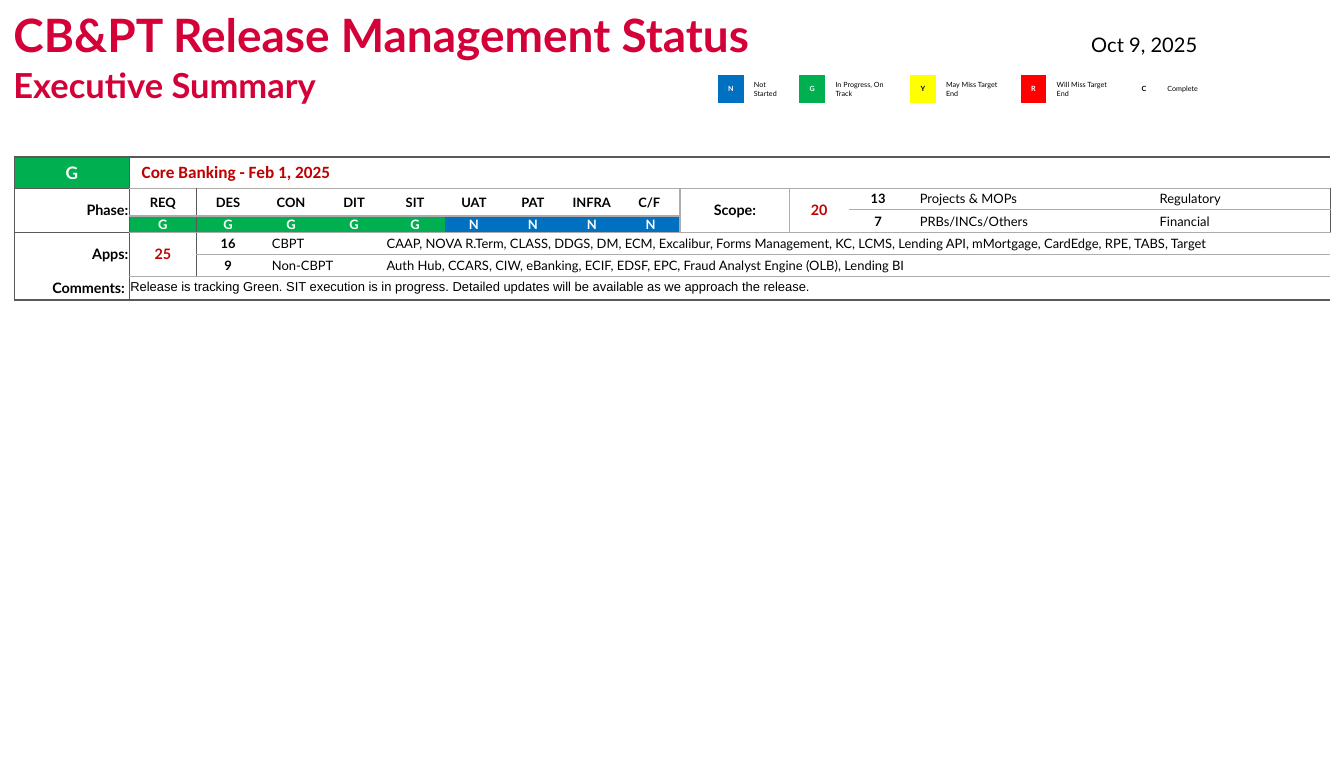
from dataclasses import dataclass

from lxml import etree
from pptx import Presentation, util as u
from pptx.dml.color import RGBColor
from pptx.enum import text
from pptx.oxml.ns import qn

NO_STYLE = "{2D5ABB26-0587-4C30-8999-92F81FD0307C}"
LEFT, CENTER, RIGHT = text.PP_ALIGN.LEFT, text.PP_ALIGN.CENTER, text.PP_ALIGN.RIGHT
TOP, MIDDLE, BOTTOM = text.MSO_ANCHOR.TOP, text.MSO_ANCHOR.MIDDLE, text.MSO_ANCHOR.BOTTOM
WIDTH, HEIGHT = 13, 7.5


@dataclass(frozen=True)
class Theme:
    font: str = "Lato"
    heading: str = "D40139"
    accent: str = "C00000"
    black: str = "000000"
    white: str = "FFFFFF"
    frame: str = "595959"
    rule: str = "AFABAB"
    blue: str = "0070C0"
    green: str = "00B050"
    yellow: str = "FFFF00"
    red: str = "FF0000"
    title: int = 32
    subtitle: int = 24
    date: int = 14
    status: int = 12
    label: int = 10
    body: int = 9
    legend: int = 5


THEME = Theme()
STATUS = {"N": THEME.blue, "G": THEME.green, "Y": THEME.yellow, "R": THEME.red}

# Cell margins are left, top, right, bottom in inches.
TIGHT, PLAIN, INDENTED = (.01, .01, .01, 0), (.01, .03, .01, .03), (.12, .03, .01, .03)
STYLES = {
    "status": dict(size=THEME.status, color=THEME.white, bold=True, margins=TIGHT),
    "release": dict(size=THEME.status, color=THEME.accent, bold=True, align=LEFT,
                    font="Calibri", margins=(.12, .05, .01, .05)),
    "row label": dict(size=THEME.label, bold=True, align=RIGHT),
    "label": dict(size=THEME.label, bold=True),
    "total": dict(size=THEME.label, bold=True, color=THEME.accent),
    "strong": dict(bold=True),
    "phase status": dict(color=THEME.white, bold=True, margins=TIGHT),
    "item": dict(align=LEFT, margins=INDENTED),
    "list": dict(align=LEFT),
    "comment": dict(align=LEFT, font="Arial", anchor=TOP),
}

LEGEND_COLUMNS = [.25, .54] + [.25, .82] * 3 + [.25, .53, .38]
LEGEND = [("N", "Not Started"), ("G", "In Progress, On Track"), ("Y", "May Miss Target End"),
          ("R", "Will Miss Target End"), ("C", "Complete")]

RELEASE_COLUMNS = [1.11, .65] + [.61] * 3 + [.57] * 5 + [1.06, .57, .57, 1.75, .57, 1.77]
RELEASE_ROWS = [.29, .21, .06, .15, .21, .21, .23]
PHASES = [("REQ", "G"), ("DES", "G"), ("CON", "G"), ("DIT", "G"), ("SIT", "G"),
          ("UAT", "N"), ("PAT", "N"), ("INFRA", "N"), ("C/F ", "N")]
# Each entry: row, column, rows spanned, columns spanned, text, style.
RELEASE_CELLS = [
    (0, 0, 1, 1, "G", "status"),
    (0, 1, 1, 15, "Core Banking - Feb 1, 2025", "release"),
    (1, 0, 3, 1, "Phase:", "row label"),
    (1, 10, 3, 1, "Scope:", "label"),
    (1, 11, 3, 1, "20", "total"),
    (1, 12, 1, 1, "13", "strong"),
    (1, 13, 1, 1, "Projects & MOPs", "item"),
    (1, 15, 1, 1, "Regulatory", "item"),
    (2, 12, 2, 1, "7", "strong"),
    (2, 13, 2, 1, "PRBs/INCs/Others", "item"),
    (2, 14, 2, 1, "", "item"),
    (2, 15, 2, 1, "Financial", "item"),
    (4, 0, 2, 1, "Apps:", "row label"),
    (4, 1, 2, 1, "25", "total"),
    (4, 2, 1, 1, "16", "strong"),
    (4, 3, 1, 2, "CBPT", "item"),
    (4, 5, 1, 11, "CAAP, NOVA R.Term, CLASS, DDGS, DM, ECM, Excalibur, Forms Management, KC, LCMS, "
                  "Lending API, mMortgage, CardEdge, RPE, TABS, Target", "list"),
    (5, 2, 1, 1, "9", "strong"),
    (5, 3, 1, 2, "Non-CBPT", "item"),
    (5, 5, 1, 11, "Auth Hub, CCARS, CIW, eBanking, ECIF, EDSF, EPC, "
                  "Fraud Analyst Engine (OLB), Lending BI", "list"),
    (6, 0, 1, 1, "Comments: ", "row label"),
    (6, 1, 1, 15, "Release is tracking Green. SIT execution is in progress. Detailed updates "
                  "will be available as we approach the release.", "comment"),
]


def set_all(target, values):
    for name, value in values.items():
        setattr(target, name, value)


def box(left, top, width, height):
    """Turn percentages of the slide into lengths."""
    return [u.Inches(share * side / 100) for share, side in
            ((left, WIDTH), (top, HEIGHT), (width, WIDTH), (height, HEIGHT))]


def write(frame, words, size, color=THEME.black, bold=False, align=LEFT, font=THEME.font):
    paragraph = frame.paragraphs[0]
    paragraph.alignment = align
    run = paragraph.add_run()
    run.text = words
    set_all(run.font, dict(size=u.Pt(size), bold=bold, name=font))
    run.font.color.rgb = RGBColor.from_string(color)


def add_title(slide, words, area):
    title = slide.shapes.title
    set_all(title, dict(zip(("left", "top", "width", "height"), area)))
    set_all(title.text_frame, dict(
        margin_left=0, margin_top=0, margin_right=0, margin_bottom=u.Inches(.12),
        vertical_anchor=BOTTOM, word_wrap=True, auto_size=text.MSO_AUTO_SIZE.NONE))
    write(title.text_frame, words, THEME.title, THEME.heading, True)


def add_text(slide, words, area, margins=(.1, .05), **style):
    frame = slide.shapes.add_textbox(*area).text_frame
    across, down = map(u.Inches, margins)
    set_all(frame, dict(margin_left=across, margin_right=across, margin_top=down,
                        margin_bottom=down, word_wrap=True,
                        auto_size=text.MSO_AUTO_SIZE.SHAPE_TO_FIT_TEXT))
    write(frame, words, **style)


def add_plain_table(slide, left, top, columns, rows):
    area = [*box(left, top, 0, 0)[:2], u.Inches(sum(columns)), u.Inches(sum(rows))]
    table = slide.shapes.add_table(len(rows), len(columns), *area).table
    set_all(table, dict(first_row=False, horz_banding=False))
    table._tbl.tblPr.find(qn("a:tableStyleId")).text = NO_STYLE
    for column, width in zip(table.columns, columns):
        column.width = u.Inches(width)
    for row, height in zip(table.rows, rows):
        row.height = u.Inches(height)
    for cell in table.iter_cells():
        # Small end marks keep empty cells from stretching their rows.
        cell.text_frame.paragraphs[0]._p.get_or_add_endParaRPr().set("sz", "100")
        set_all(cell, {f"margin_{side}": 0 for side in ("left", "top", "right", "bottom")})
        cell.fill.background()
    return table


def fill_cell(cell, words, size=THEME.body, align=CENTER, margins=PLAIN, anchor=MIDDLE,
              fill=None, **style):
    names = ("margin_left", "margin_top", "margin_right", "margin_bottom")
    set_all(cell, dict(zip(names, map(u.Inches, margins)), vertical_anchor=anchor))
    if words:
        write(cell.text_frame, words, size, align=align, **style)
    if fill:
        cell.fill.solid()
        cell.fill.fore_color.rgb = RGBColor.from_string(fill)


def edge_colors(row, column):
    """Give the border colours of a release cell in the order the schema wants."""
    frame, rule = THEME.frame, THEME.rule
    scope = 1 <= row <= 3
    below = rule if column and row in (0, 3, 5) else None
    above = rule if column and row in (1, 4, 6) else None
    return {
        "L": frame if column in (0, 1) else rule if scope and column == 10 else None,
        "R": frame if column in (0, 15) else rule if scope and column == 9 else None,
        "T": frame if row == 0 or (row, column) == (1, 0) else above,
        "B": frame if row == 6 or (row, column) == (0, 0) else below,
    }


def draw_borders(cell, colors):
    properties = cell._tc.get_or_add_tcPr()
    sides = [side for side in colors if colors[side]]
    for position, side in enumerate(sides):
        line = etree.Element(qn(f"a:ln{side}"), w=str(u.Pt(1)))
        solid = etree.SubElement(line, qn("a:solidFill"))
        etree.SubElement(solid, qn("a:srgbClr"), val=colors[side])
        properties.insert(position, line)


def add_legend(slide):
    table = add_plain_table(slide, 53.4, 9.7, LEGEND_COLUMNS, [.27])
    margins = (.1, .05, .1, .05)
    for index, (code, meaning) in enumerate(LEGEND):
        color = THEME.white if code in "NGR" else THEME.black
        fill_cell(table.cell(0, 2 * index), code, THEME.legend, margins=margins,
                  fill=STATUS.get(code), color=color, bold=True)
        fill_cell(table.cell(0, 2 * index + 1), meaning, THEME.legend, LEFT, margins)


def add_release(slide):
    table = add_plain_table(slide, 1.08, 20.27, RELEASE_COLUMNS, RELEASE_ROWS)
    cells = list(RELEASE_CELLS)
    for column, (phase, status) in enumerate(PHASES, 1):
        cells += [(1, column, 2, 1, phase, "strong"),
                  (3, column, 1, 1, status, "phase status")]
    for row, column, down, across, words, style in cells:
        cell = table.cell(row, column)
        if down * across > 1:
            cell.merge(table.cell(row + down - 1, column + across - 1))
        fill = STATUS[words] if "status" in style else None
        fill_cell(cell, words, fill=fill, **STYLES[style])
    for row in range(len(RELEASE_ROWS)):
        for column in range(len(RELEASE_COLUMNS)):
            draw_borders(table.cell(row, column), edge_colors(row, column))


def main():
    presentation = Presentation()
    set_all(presentation, dict(slide_width=u.Inches(WIDTH), slide_height=u.Inches(HEIGHT)))
    slide = presentation.slides.add_slide(presentation.slide_layouts.get_by_name("Title Only"))
    add_title(slide, "CB&PT Release Management Status", box(1, 1.5, 95, 8.1))
    add_text(slide, "Executive Summary", box(1, 8.27, 95, 5.33), margins=(0, 0),
             size=THEME.subtitle, color=THEME.heading, bold=True)
    add_legend(slide)
    add_text(slide, "Oct 9, 2025", box(73.85, 3.5, 16, 4.5), size=THEME.date, align=RIGHT)
    add_release(slide)
    presentation.save("out.pptx")


if __name__ == "__main__":
    main()
